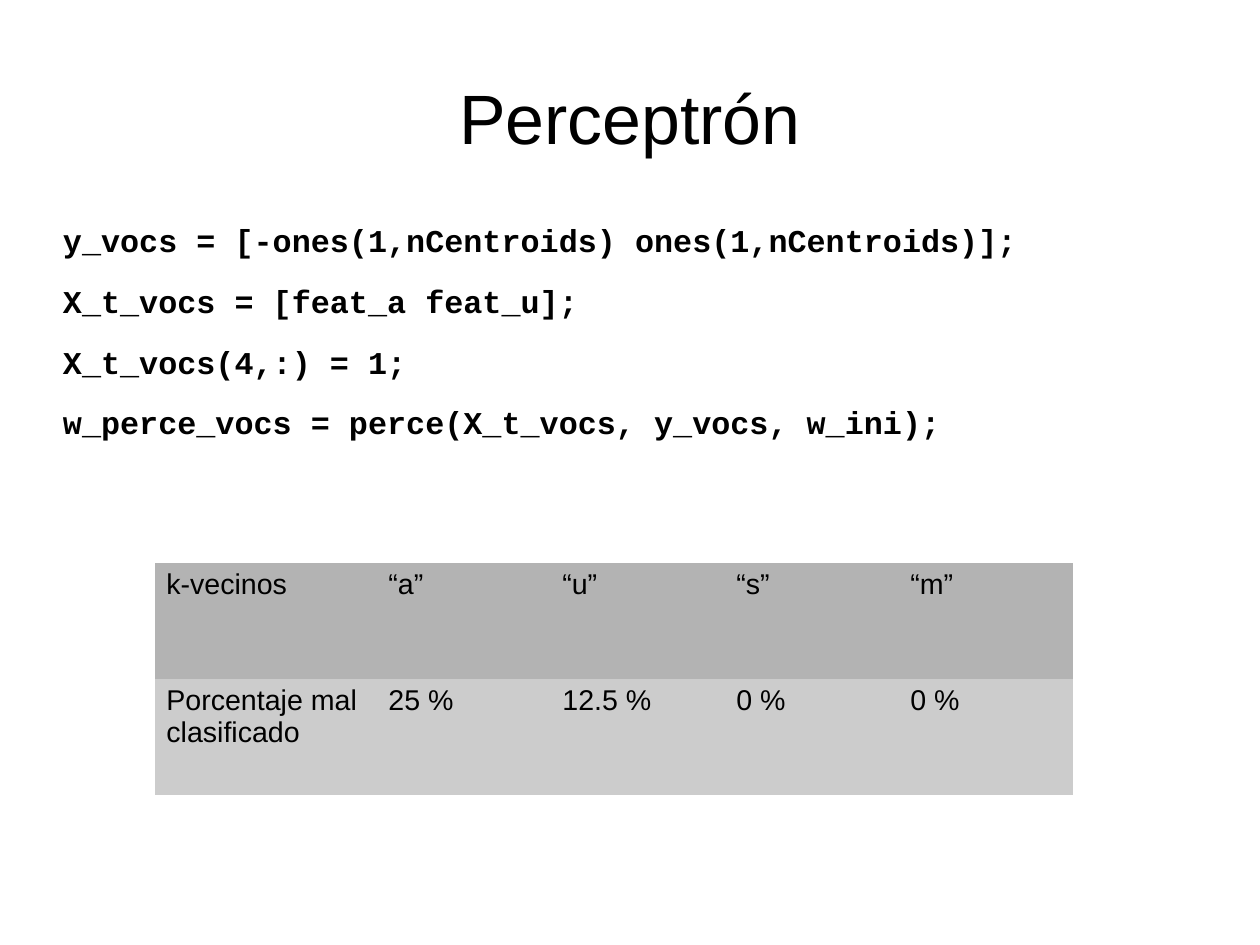
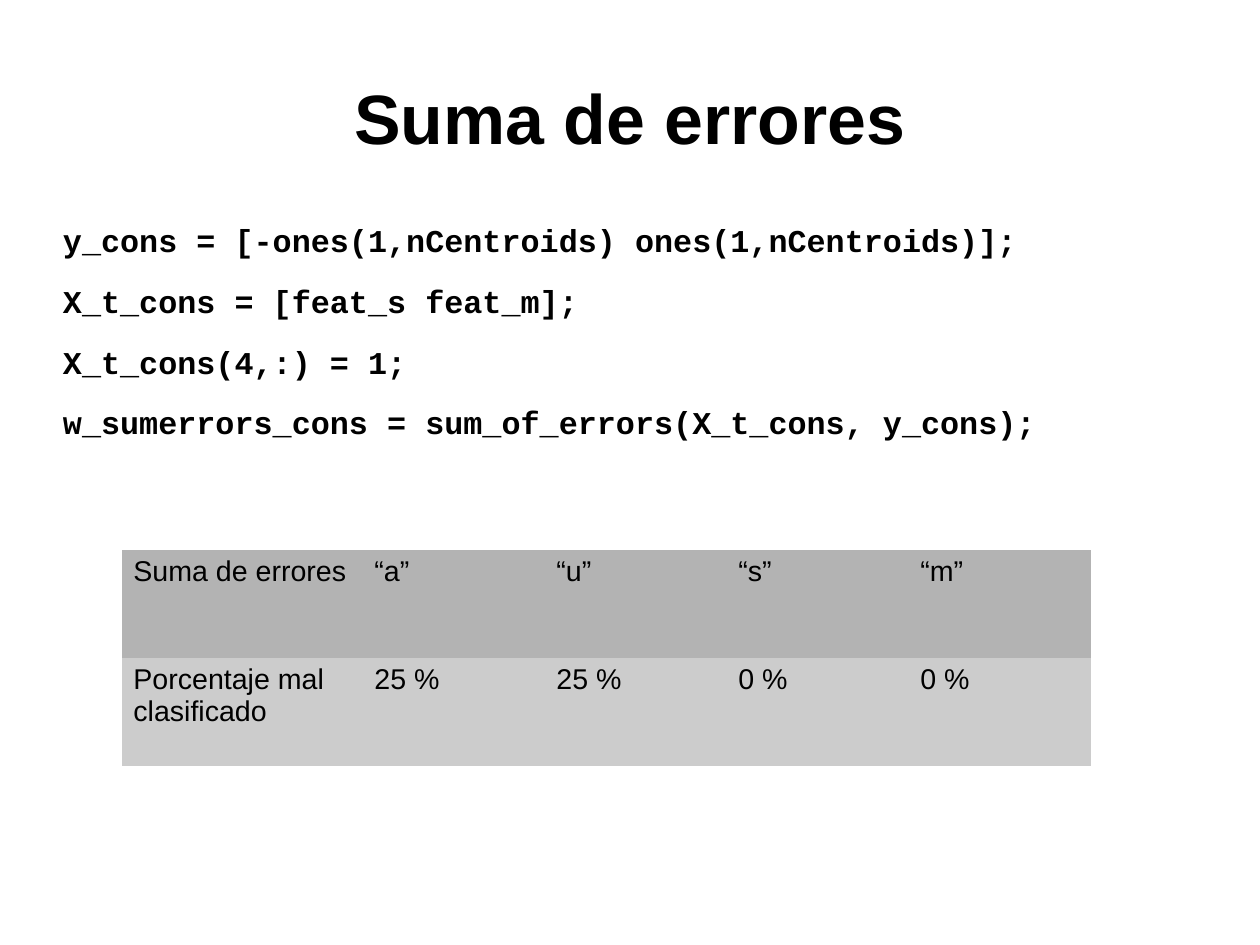
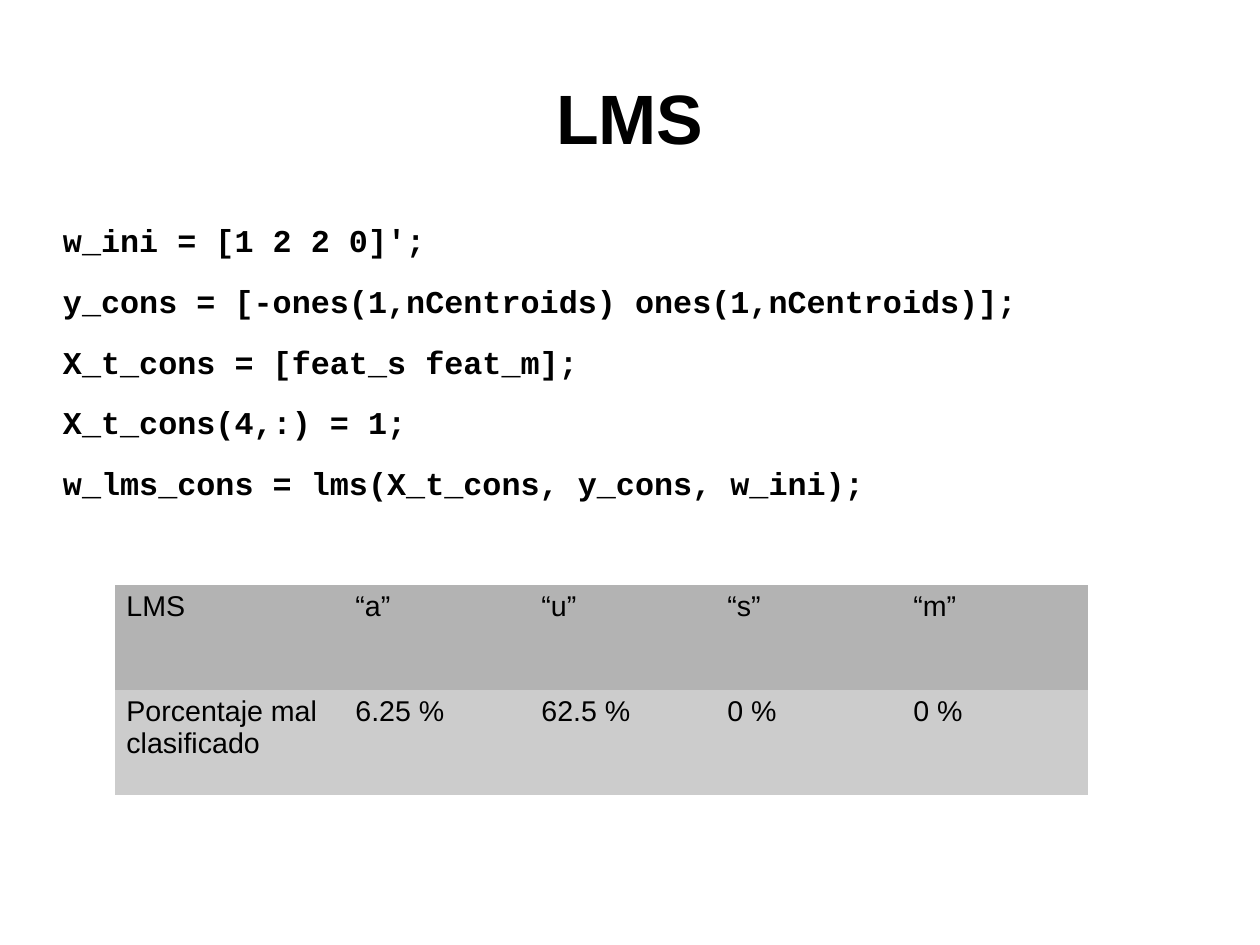
from pptx import Presentation
from pptx import util as u
from pptx.dml.color import RGBColor
from pptx.enum import text as t
from pptx.oxml.ns import qn

PX = 8000  # EMU per pixel
SLIDE_SIZE = (1260, 945)
TITLE_BOX = (63, 38, 1134, 158)
CODE_BOX = (63, 221, 1109, 548)
BLACK = "000000"
ROW_FILLS = ("B3B3B3", "CCCCCC")
NO_GRID_STYLE = "{2D5ABB26-0587-4C30-8999-92F81FD0307C}"
VOICES = ["“a”", "“u”", "“s”", "“m”"]
RATE_LABEL = "Porcentaje mal clasificado"

# Content: the table place is left, top, label width, value width, row height
CLASSIFIERS = [
    dict(
        title="Perceptrón", bold=False,
        code=["y_vocs = [-ones(1,nCentroids) ones(1,nCentroids)];",
              "X_t_vocs = [feat_a feat_u];",
              "X_t_vocs(4,:) = 1;",
              "w_perce_vocs = perce(X_t_vocs, y_vocs, w_ini);"],
        method="k-vecinos", rates=["25 %", "12.5 %", "0 %", "0 %"],
        place=(155, 563, 222, 174, 116),
    ),
    dict(
        title="Suma de errores", bold=True,
        code=["y_cons = [-ones(1,nCentroids) ones(1,nCentroids)];",
              "X_t_cons = [feat_s feat_m];",
              "X_t_cons(4,:) = 1;",
              "w_sumerrors_cons = sum_of_errors(X_t_cons, y_cons);"],
        method="Suma de errores", rates=["25 %", "25 %", "0 %", "0 %"],
        place=(122, 550, 241, 182, 108),
    ),
    dict(
        title="LMS", bold=True,
        code=["w_ini = [1 2 2 0]';",
              "y_cons = [-ones(1,nCentroids) ones(1,nCentroids)];",
              "X_t_cons = [feat_s feat_m];",
              "X_t_cons(4,:) = 1;",
              "w_lms_cons = lms(X_t_cons, y_cons, w_ini);"],
        method="LMS", rates=["6.25 %", "62.5 %", "0 %", "0 %"],
        place=(115, 585, 229, 186, 105),
    ),
]


def px(*lengths):
    return [u.Emu(length * PX) for length in lengths]


def color(hex_code):
    return RGBColor.from_string(hex_code)


def write(frame, lines, size, font="Arial", bold=False,
          align=t.PP_ALIGN.LEFT, after=0, leading=None):
    for i, line in enumerate(lines):
        paragraph = frame.add_paragraph() if i else frame.paragraphs[0]
        paragraph.alignment = align
        paragraph.space_after = u.Pt(after)
        if leading:
            paragraph.line_spacing = u.Pt(leading)
        run = paragraph.add_run()
        run.text = line
        run.font.name, run.font.size, run.font.bold = font, u.Pt(size), bold
        run.font.color.rgb = color(BLACK)


def prepare(frame, anchor):
    frame.word_wrap = True
    frame.auto_size = t.MSO_AUTO_SIZE.NONE
    frame.vertical_anchor = anchor
    frame.margin_left = frame.margin_right = 0
    frame.margin_top = frame.margin_bottom = 0
    return frame


def add_title(slide, title, bold):
    heading = slide.shapes.title
    heading.left, heading.top, heading.width, heading.height = px(*TITLE_BOX)
    write(prepare(heading.text_frame, t.MSO_ANCHOR.MIDDLE), [title], 44,
          bold=bold, align=t.PP_ALIGN.CENTER)


def add_code(slide, code):
    listing = slide.shapes.add_textbox(*px(*CODE_BOX))
    write(prepare(listing.text_frame, t.MSO_ANCHOR.TOP), code, 20,
          font="Courier New", bold=True, after=14.2, leading=24)


def add_rates(slide, rows, place):
    left, top, label_width, value_width, row_height = place
    widths = [label_width] + [value_width] * len(VOICES)
    table = slide.shapes.add_table(
        len(rows), len(widths),
        *px(left, top, sum(widths), row_height * len(rows))).table
    table.first_row = table.horz_banding = False
    table._tbl.tblPr.find(qn("a:tableStyleId")).text = NO_GRID_STYLE
    for column, width in zip(table.columns, px(*widths)):
        column.width = width
    for row, values, fill in zip(table.rows, rows, ROW_FILLS):
        row.height = px(row_height)[0]
        for cell, value in zip(row.cells, values):
            cell.fill.solid()
            cell.fill.fore_color.rgb = color(fill)
            write(cell.text_frame, [value], 18)


def main():
    deck = Presentation()
    deck.slide_width, deck.slide_height = px(*SLIDE_SIZE)
    for item in CLASSIFIERS:
        slide = deck.slides.add_slide(deck.slide_layouts[5])
        add_title(slide, item["title"], item["bold"])
        add_code(slide, item["code"])
        rows = [[item["method"], *VOICES], [RATE_LABEL, *item["rates"]]]
        add_rates(slide, rows, item["place"])
    deck.save("out.pptx")


if __name__ == "__main__":
    main()
